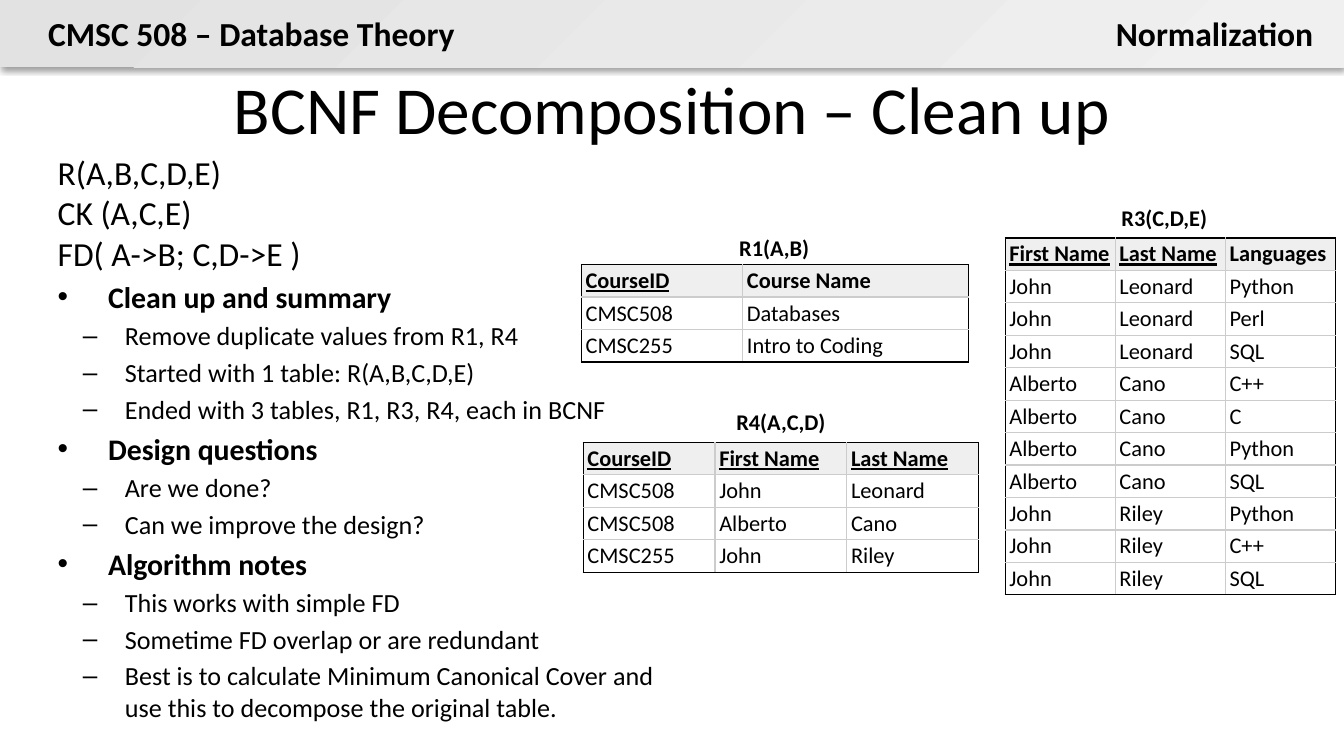
from lxml.etree import SubElement as Sub
from pptx import Presentation
from pptx.dml.color import RGBColor as Rgb
from pptx.enum.shapes import MSO_SHAPE as Shape
from pptx.enum.text import MSO_ANCHOR as Anchor, PP_ALIGN as Align
from pptx.oxml.ns import qn
from pptx.util import Pt

FONT = "Calibri"
HEX = {
    "ink": "000000",
    "grid": "CCCCCC",
    "head": "EFEFEF",
    "dark": "E2E2E2",
    "light": "F0F0F0",
}

# Bullet, left margin, hanging indent, text size and bold for each level
LEVELS = [
    (None, 0, 0, 18, False),
    ("•", 27, 27, 16, True),
    ("–", 36, 22.5, 14, False),
]
NOTES = [
    (0, "R(A,B,C,D,E)\vCK (A,C,E)\vFD( A->B; C,D->E )"),
    (1, "Clean up and summary"),
    (2, "Remove duplicate values from R1, R4"),
    (2, "Started with 1 table: R(A,B,C,D,E)"),
    (2, "Ended with 3 tables, R1, R3, R4, each in BCNF"),
    (1, "Design questions"),
    (2, "Are we done?"),
    (2, "Can we improve the design?"),
    (1, "Algorithm notes"),
    (2, "This works with simple FD"),
    (2, "Sometime FD overlap or are redundant"),
    (2, "Best is to calculate Minimum Canonical Cover and "
        "use this to decompose the original table."),
]
R1 = [
    ("CourseID", "Course Name"),
    ("CMSC508", "Databases"),
    ("CMSC255", "Intro to Coding"),
]
SKILLS = [
    ("John", "Leonard", ("Python", "Perl", "SQL")),
    ("Alberto", "Cano", ("C++", "C", "Python", "SQL")),
    ("John", "Riley", ("Python", "C++", "SQL")),
]
R3 = [("First Name", "Last Name", "Languages")] + [
    (first, last, lang) for first, last, langs in SKILLS for lang in langs
]
R4 = [
    ("CourseID", "First Name", "Last Name"),
    ("CMSC508", "John", "Leonard"),
    ("CMSC508", "Alberto", "Cano"),
    ("CMSC255", "John", "Riley"),
]


def color(name):
    return Rgb.from_string(HEX[name])


def style(para, size, bold=False, line=False):
    for run in para.runs:
        font = run.font
        font.name, font.size = FONT, Pt(size)
        font.bold, font.underline = bold, line
        font.color.rgb = color("ink")


def add_box(slide, at, wrap=True):
    box = slide.shapes.add_textbox(*map(Pt, at))
    box.text_frame.word_wrap = wrap
    return box.text_frame


def add_label(slide, at, text, size, bold=True, align=Align.CENTER, wrap=True):
    frame = add_box(slide, at, wrap)
    frame.text = text
    para = frame.paragraphs[0]
    para.alignment = align
    style(para, size, bold)
    return frame


def add_band(slide):
    """Draw the shaded header strip with its soft shadow."""
    band = slide.shapes.add_shape(Shape.RECTANGLE, 0, 0, Pt(720), Pt(36))
    band.line.fill.background()
    band.fill.gradient()
    band.fill.gradient_angle = 315
    for stop, name in zip(band.fill.gradient_stops, ("dark", "light")):
        stop.color.rgb = color(name)
    band.shadow.inherit = False
    effects = band._element.spPr.find(qn("a:effectLst"))
    shade = Sub(effects, qn("a:outerShdw"), blurRad=str(Pt(3.1)),
                dist=str(Pt(1.6)), dir="5400000", rotWithShape="0")
    tint = Sub(shade, qn("a:srgbClr"), val=HEX["ink"])
    Sub(tint, qn("a:alpha"), val="38000")


def add_notes(slide, at):
    frame = add_box(slide, at)
    for i, (level, text) in enumerate(NOTES):
        mark, left, hang, size, bold = LEVELS[level]
        para = frame.add_paragraph() if i else frame.paragraphs[0]
        para.text = text
        if mark:
            props = para._p.get_or_add_pPr()
            props.set("marL", str(Pt(left)))
            props.set("indent", str(-Pt(hang)))
            Sub(props, qn("a:buFont"), typeface="Arial")
            Sub(props, qn("a:buChar"), char=mark)
        if i:
            para.space_before = Pt(size * 0.2)
        style(para, size, bold)


def set_edges(cell, outer):
    """Rule the cell: ink on the outer sides of the table, grid inside."""
    props = cell._tc.get_or_add_tcPr()
    for side in "LRTB":
        edge = Sub(props, qn("a:ln" + side), w=str(Pt(0.75)))
        fill = Sub(edge, qn("a:solidFill"))
        Sub(fill, qn("a:srgbClr"), val=HEX["ink" if side in outer else "grid"])


def add_grid(slide, left, top, widths, rows, keys):
    """Add a relation whose first `keys` columns form its key."""
    high, last, end = 17.4, len(rows) - 1, len(widths) - 1
    frame = slide.shapes.add_table(
        len(rows), len(widths), Pt(left), Pt(top),
        Pt(sum(widths)), Pt(high * len(rows)))
    table = frame.table
    table.horz_banding = False
    for col, width in zip(table.columns, widths):
        col.width = Pt(width)
    for r, row in enumerate(rows):
        table.rows[r].height = Pt(high)
        for c, text in enumerate(row):
            cell = table.cell(r, c)
            sides = {"L": c == 0, "R": c == end, "T": r == 0, "B": r == last}
            set_edges(cell, [side for side, on in sides.items() if on])
            if r == 0:
                cell.fill.solid()
                cell.fill.fore_color.rgb = color("head")
            else:
                cell.fill.background()
            cell.margin_left = cell.margin_right = Pt(2.25)
            cell.margin_top = cell.margin_bottom = Pt(1.5)
            cell.vertical_anchor = Anchor.BOTTOM
            cell.text_frame.text = text
            style(cell.text_frame.paragraphs[0], 12, r == 0, r == 0 and c < keys)


def main():
    deck = Presentation()
    deck.slide_width, deck.slide_height = Pt(720), Pt(405)
    slide = deck.slides.add_slide(deck.slide_layouts[6])

    add_band(slide)
    add_label(slide, (18.7, 3.6, 235, 29), "CMSC 508 – Database Theory", 18,
              align=Align.LEFT, wrap=False)
    add_label(slide, (589.7, 3.6, 121, 29), "Normalization", 18,
              align=Align.RIGHT, wrap=False)
    title = add_label(slide, (36, 39, 648, 37.5),
                      "BCNF Decomposition – Clean up", 36, bold=False)
    title.vertical_anchor = Anchor.MIDDLE
    add_notes(slide, (23.8, 77.8, 339, 320))

    add_grid(slide, 311.5, 141.8, (86.4, 121), R1, 1)
    add_grid(slide, 538.5, 127.5, (59,) * 3, R3, 2)
    add_grid(slide, 312.5, 237, (70.6,) * 3, R4, 3)
    add_label(slide, (311.5, 121.7, 206.6, 21.6), "R1(A,B)", 12)
    add_label(slide, (538.5, 106, 170.6, 21.6), "R3(C,D,E)", 12)
    add_label(slide, (312.5, 215.3, 211.8, 21.6), "R4(A,C,D)", 12)

    deck.save("out.pptx")


if __name__ == "__main__":
    main()
